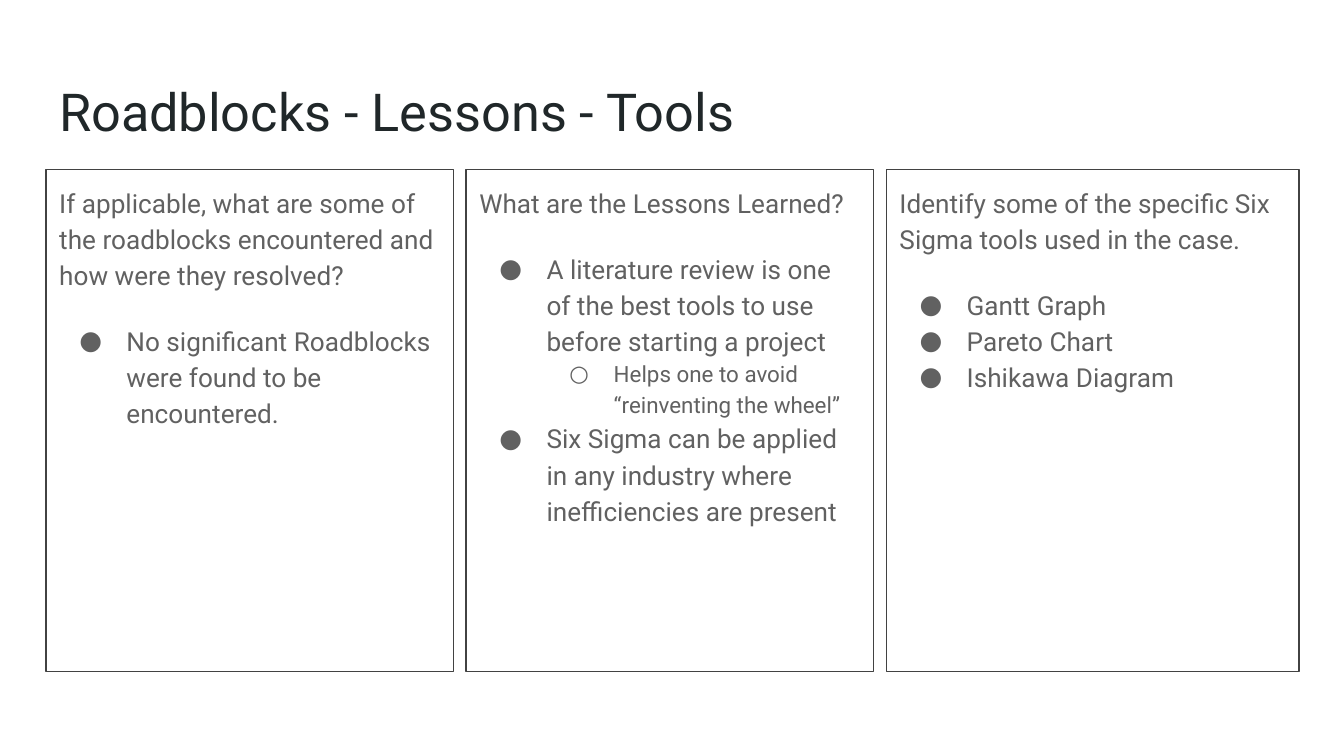
from lxml import etree
from pptx import Presentation
from pptx.dml.color import RGBColor
from pptx.enum.shapes import MSO_SHAPE
from pptx.enum.text import MSO_ANCHOR, PP_ALIGN
from pptx.oxml.ns import qn
from pptx.util import Cm, Pt

RECTANGLE = MSO_SHAPE.RECTANGLE
TOP = MSO_ANCHOR.TOP
LEFT = PP_ALIGN.LEFT

FONT = "Roboto"
TITLE_COLOR, BODY_COLOR, BORDER_COLOR = "202729", "616161", "424242"
MARGIN, GAP = 0.87, 0.24
COLUMN_TOP, COLUMN_HEIGHT = 3.2, 9.5

# Per level: bullet, text indent (cm), hanging indent (cm), size (pt)
LEVELS = [("●", 1.27, 0.89, 14), ("○", 2.54, 0.84, 12)]

# Column width (cm), question, answers as (level, text)
COLUMNS = [
    (7.7, "If applicable, what are some of the roadblocks encountered and how were they resolved?",
     [(0, "No significant Roadblocks were found to be encountered.")]),
    (7.7, "What are the Lessons Learned?",
     [(0, "A literature review is one of the best tools to use before starting a project"),
      (1, "Helps one to avoid “reinventing the wheel”"),
      (0, "Six Sigma can be applied in any industry where inefficiencies are present")]),
    (7.8, "Identify some of the specific Six Sigma tools used in the case.",
     [(0, "Gantt Graph"), (0, "Pareto Chart"), (0, "Ishikawa Diagram")]),
]


def color(hex_value):
    return RGBColor.from_string(hex_value)


def apply(target, formats):
    for attribute, value in formats.items():
        setattr(target, attribute, value)


def prepare_frame(frame):
    apply(frame, {"word_wrap": True, "vertical_anchor": TOP,
                  "margin_left": Cm(0.25), "margin_right": Cm(0.25),
                  "margin_top": Cm(0.25), "margin_bottom": Cm(0.25)})


def write(paragraph, text, size, hex_value, **formats):
    run = paragraph.add_run()
    run.text = text
    apply(run.font, {"name": FONT, "size": Pt(size)})
    run.font.color.rgb = color(hex_value)
    apply(paragraph, {"alignment": LEFT, **formats})


def add_bullet(paragraph, level):
    bullet, indent, hanging, _ = LEVELS[level]
    paragraph.level = level
    properties = paragraph._p.get_or_add_pPr()
    properties.set("marL", str(Cm(indent)))
    properties.set("indent", str(-Cm(hanging)))
    bullet_color = etree.SubElement(properties, qn("a:buClr"))
    etree.SubElement(bullet_color, qn("a:srgbClr"), val=BODY_COLOR)
    etree.SubElement(properties, qn("a:buFont"), typeface=FONT)
    etree.SubElement(properties, qn("a:buChar"), char=bullet)


def add_title(slide, left, top, width, height):
    title = slide.shapes.add_textbox(Cm(left), Cm(top), Cm(width), Cm(height))
    prepare_frame(title.text_frame)
    write(title.text_frame.paragraphs[0], "Roadblocks - Lessons - Tools", 28, TITLE_COLOR)


def add_column(slide, left, top, width, height, question, answers):
    column = slide.shapes.add_shape(RECTANGLE, Cm(left), Cm(top), Cm(width), Cm(height))
    column.shadow.inherit = False
    column.fill.background()
    column.line.color.rgb = color(BORDER_COLOR)
    column.line.width = Pt(0.75)
    frame = column.text_frame
    prepare_frame(frame)

    # Question
    write(frame.paragraphs[0], question, 14, BODY_COLOR, line_spacing=1.15)

    # Answers, the first one set apart from the question
    for index, (level, text) in enumerate(answers):
        answer = frame.add_paragraph()
        write(answer, text, LEVELS[level][3], BODY_COLOR, line_spacing=1.15,
              space_before=Pt(0 if index else 16))
        add_bullet(answer, level)


def main():
    presentation = Presentation()
    apply(presentation, {"slide_width": Cm(25.4), "slide_height": Cm(14.29)})
    slide = presentation.slides.add_slide(presentation.slide_layouts[6])

    add_title(slide, MARGIN, 1.24, 23.67, 1.6)
    left = MARGIN
    for width, question, answers in COLUMNS:
        add_column(slide, left, COLUMN_TOP, width, COLUMN_HEIGHT, question, answers)
        left += width + GAP

    presentation.save("out.pptx")


if __name__ == "__main__":
    main()
